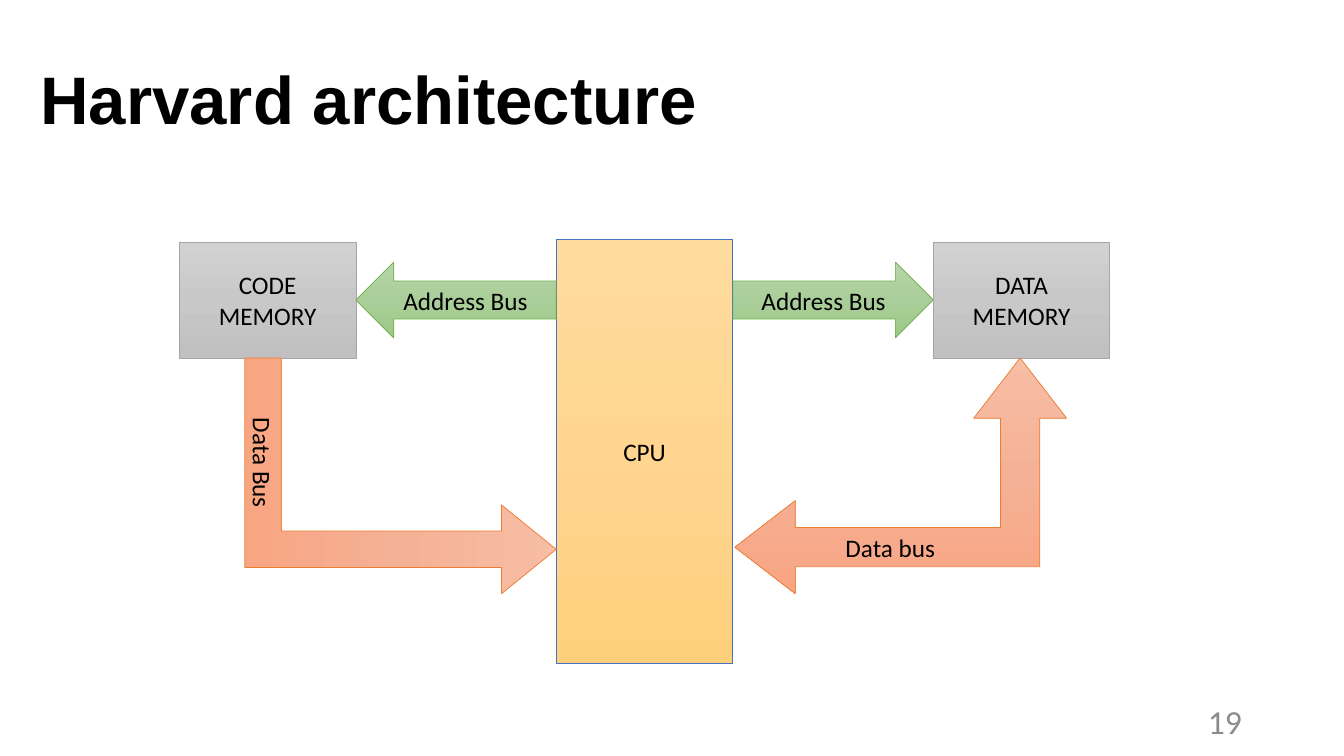
from copy import deepcopy

from pptx import Presentation
from pptx.dml.color import RGBColor
from pptx.enum.shapes import MSO_SHAPE
from pptx.enum.text import MSO_ANCHOR, PP_ALIGN
from pptx.oxml.ns import qn
from pptx.util import Cm, Pt

RECT, BUS = MSO_SHAPE.RECTANGLE, MSO_SHAPE.RIGHT_ARROW
BENT, TWO_WAY = MSO_SHAPE.BENT_UP_ARROW, MSO_SHAPE.LEFT_UP_ARROW
MIDDLE = MSO_ANCHOR.MIDDLE
LEFT, CENTER, RIGHT = PP_ALIGN.LEFT, PP_ALIGN.CENTER, PP_ALIGN.RIGHT

TITLE = "Harvard architecture"
PAGE_NUMBER = "19"
COLORS = {"text": "000000", "number": "8C8C8C"}
STYLES = {
    "cpu": (["FFDB9E", "FFD590", "FFD07C"], "4472C4"),
    "memory": (["D2D2D2", "C8C8C8", "C0C0C0"], "A5A5A5"),
    "address": (["B5D5A7", "AACE9A", "9CC987"], "70AD47"),
    "data": (["F7BDA5", "F5B196", "F8A582"], "ED7D31"),
}
TITLE_FONT = {"name": "Arial", "size": Pt(48), "bold": True}
NUMBER_FONT = {"name": "Calibri", "size": Pt(24)}
LABEL_FONT = {"name": "Calibri", "size": Pt(18)}

CPU_LEFT, CPU_TOP, CPU_HEIGHT = 14.02, 6.02, 10.69
BLOCK_WIDTH, MEMORY_TOP, MEMORY_HEIGHT = 4.45, 6.1, 2.92
BUS_WIDTH, BUS_HEIGHT = 5.05, 1.91
CPU_RIGHT = CPU_LEFT + BLOCK_WIDTH
CODE_LEFT = CPU_LEFT - BUS_WIDTH - BLOCK_WIDTH
DATA_LEFT = CPU_RIGHT + BUS_WIDTH
BUS_TOP = MEMORY_TOP + (MEMORY_HEIGHT - BUS_HEIGHT) / 2
MEMORY_BOTTOM = MEMORY_TOP + MEMORY_HEIGHT
BENT_LENGTH, BENT_DEPTH = 7.85, 5.94
BENT_LEFT = CPU_LEFT - (BENT_LENGTH + BENT_DEPTH) / 2
BENT_TOP = MEMORY_BOTTOM - (BENT_LENGTH - BENT_DEPTH) / 2

PARTS = [
    ("cpu", RECT, ["CPU"], (CPU_LEFT, CPU_TOP, BLOCK_WIDTH, CPU_HEIGHT), {}),
    ("address", BUS, ["Address Bus"], (CPU_RIGHT, BUS_TOP, BUS_WIDTH, BUS_HEIGHT), {}),
    ("memory", RECT, ["CODE", "MEMORY"],
     (CODE_LEFT, MEMORY_TOP, BLOCK_WIDTH, MEMORY_HEIGHT), {}),
    ("memory", RECT, ["DATA", "MEMORY"],
     (DATA_LEFT, MEMORY_TOP, BLOCK_WIDTH, MEMORY_HEIGHT), {}),
    ("address", BUS, ["Address Bus"],
     (CPU_LEFT - BUS_WIDTH, BUS_TOP, BUS_WIDTH, BUS_HEIGHT), {"flips": ["flipH"]}),
    ("data", BENT, ["Data Bus"], (BENT_LEFT, BENT_TOP, BENT_DEPTH, BENT_LENGTH),
     {"flips": ["flipH", "flipV"], "turn": 270, "adjust": [0.155, 0.188, 0.232]}),
    ("data", TWO_WAY, ["Data bus"], (CPU_RIGHT + 0.05, MEMORY_BOTTOM, 8.36, BENT_DEPTH),
     {"adjust": [0.167, 0.197, 0.256]}),
]


def write(box, lines, font, color, align):
    frame = box.text_frame
    frame.word_wrap = True
    frame.vertical_anchor = MIDDLE
    for index, line in enumerate(lines):
        para = frame.add_paragraph() if index else frame.paragraphs[0]
        para.alignment = align
        span = para.add_run()
        span.text = line
        for key, value in font.items():
            setattr(span.font, key, value)
        span.font.color.rgb = RGBColor.from_string(color)


def paint(shape, tints, outline):
    shape.shadow.inherit = False
    shape.fill.gradient()
    shape.fill.gradient_angle = 270
    first = shape.element.spPr.find(".//" + qn("a:gs"))
    first.addnext(deepcopy(first))
    for index, (stop, tint) in enumerate(zip(shape.fill.gradient_stops, tints)):
        stop.position = index / 2
        stop.color.rgb = RGBColor.from_string(tint)
    shape.line.color.rgb = RGBColor.from_string(outline)
    shape.line.width = Pt(0.5)


def add_part(page, style, kind, lines, place, options):
    shape = page.shapes.add_shape(kind, *map(Cm, place))
    paint(shape, *STYLES[style])
    shape.rotation = options.get("turn", 0)
    for flip in options.get("flips", []):
        shape.element.spPr.find(qn("a:xfrm")).set(flip, "1")
    for index, value in enumerate(options.get("adjust", [])):
        shape.adjustments[index] = value
    write(shape, lines, LABEL_FONT, COLORS["text"], CENTER)


def main():
    deck = Presentation()
    deck.slide_width, deck.slide_height = Cm(33.87), Cm(19.05)
    page = deck.slides.add_slide(deck.slide_layouts[5])

    title = page.shapes.title
    title.left, title.top, title.width, title.height = map(Cm, (0.76, 0.76, 29.21, 3.68))
    write(title, [TITLE], TITLE_FONT, COLORS["text"], LEFT)
    title.text_frame.paragraphs[0].line_spacing = 0.9

    number = page.shapes.add_textbox(*map(Cm, (23.93, 17.65, 7.62, 1.02)))
    write(number, [PAGE_NUMBER], NUMBER_FONT, COLORS["number"], RIGHT)

    for part in PARTS:
        add_part(page, *part)
    deck.save("out.pptx")


if __name__ == "__main__":
    main()
